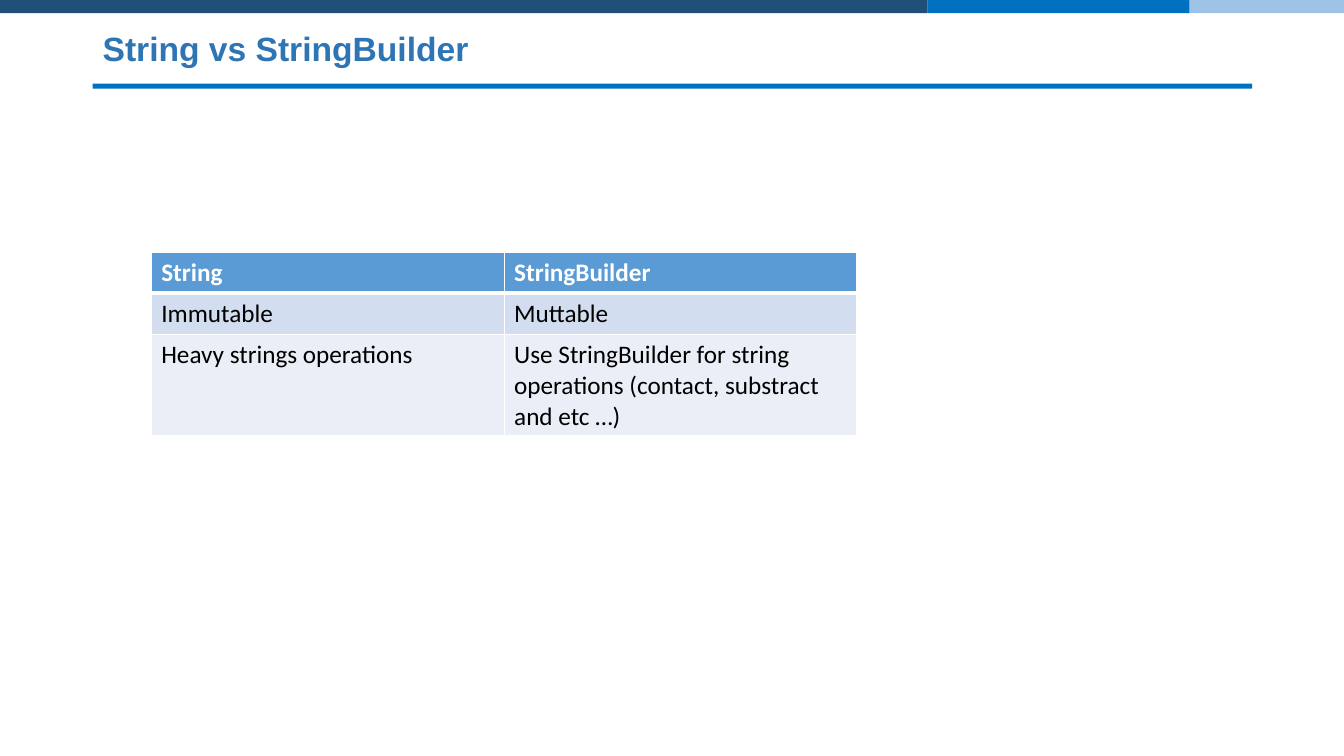
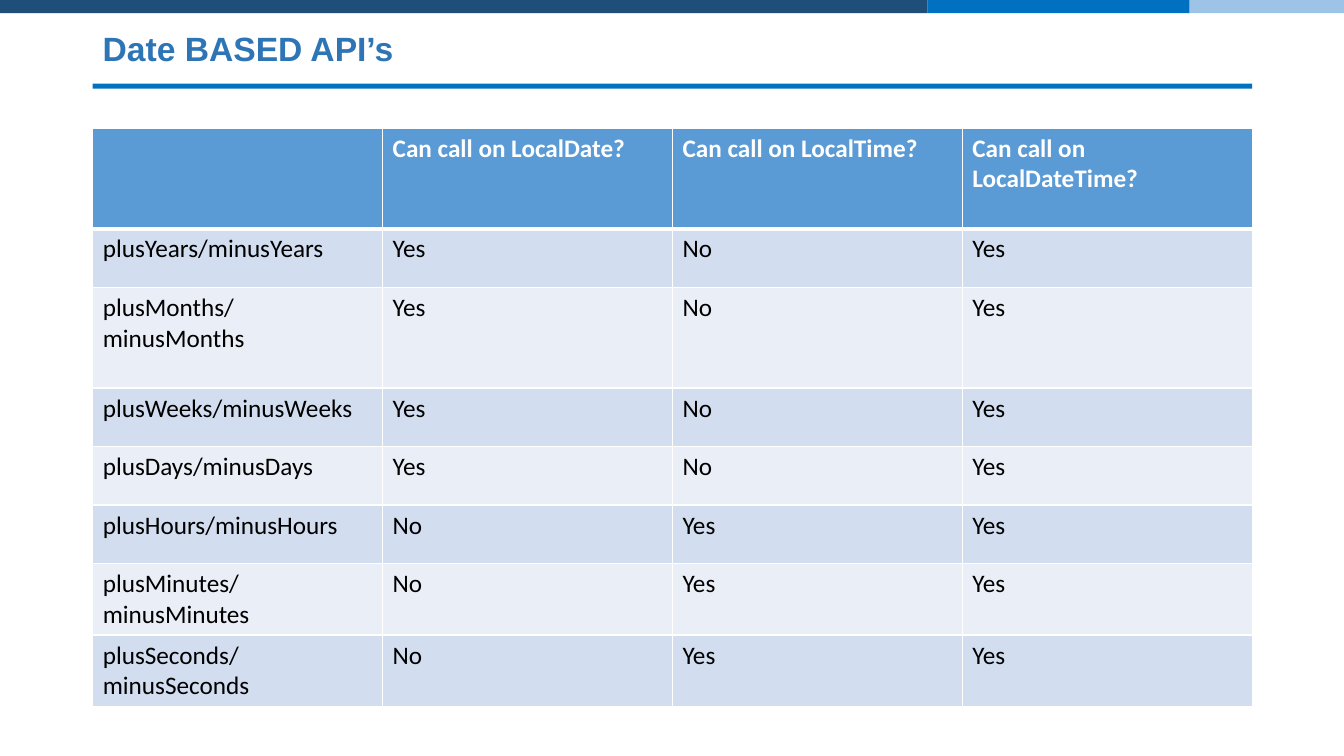
import pptx
import pptx.dml.color
import pptx.enum.shapes
import pptx.enum.text
import pptx.oxml
import pptx.oxml.ns
import pptx.util

Inches = pptx.util.Inches
Pt = pptx.util.Pt
RGBColor = pptx.dml.color.RGBColor

NAVY = RGBColor(0x1F, 0x4E, 0x79)
BLUE = RGBColor(0x00, 0x70, 0xC0)
PALE_BLUE = RGBColor(0x9D, 0xC3, 0xE6)
TITLE_BLUE = RGBColor(0x2E, 0x75, 0xB6)
HEADER_BLUE = RGBColor(0x5B, 0x9B, 0xD5)
ROW_DARK = RGBColor(0xD2, 0xDE, 0xEF)
ROW_LIGHT = RGBColor(0xEA, 0xEF, 0xF7)
WHITE = RGBColor(0xFF, 0xFF, 0xFF)
BLACK = RGBColor(0x00, 0x00, 0x00)

TITLE_FONT = "Arial"
TABLE_FONT = "Calibri"
MARGIN = 0.92
CONTENT_WIDTH = 11.5
THIN, THICK = 1, 3
TOP_BAND = [(9.2, NAVY), (2.6, BLUE), (1.56, PALE_BLUE)]

STRING_ROWS = [
    ("String", "StringBuilder"),
    ("Immutable", "Muttable"),
    ("Heavy strings operations",
     "Use StringBuilder for string operations (contact, substract and etc …)"),
]
DATE_ROWS = [
    ("", "Can call on LocalDate?", "Can call on LocalTime?", "Can call on LocalDateTime?"),
    ("plusYears/minusYears", "Yes", "No", "Yes"),
    ("plusMonths/minusMonths", "Yes", "No", "Yes"),
    ("plusWeeks/minusWeeks", "Yes", "No", "Yes"),
    ("plusDays/minusDays", "Yes", "No", "Yes"),
    ("plusHours/minusHours", "No", "Yes", "Yes"),
    ("plusMinutes/minusMinutes", "No", "Yes", "Yes"),
    ("plusSeconds/minusSeconds", "No", "Yes", "Yes"),
]


def add_bar(slide, left, top, width, height, color):
    bar = slide.shapes.add_shape(
        pptx.enum.shapes.MSO_SHAPE.RECTANGLE,
        Inches(left), Inches(top), Inches(width), Inches(height))
    bar.shadow.inherit = False
    bar.fill.solid()
    bar.fill.fore_color.rgb = color
    bar.line.fill.background()


def add_top_band(slide, left, top, height):
    for width, color in TOP_BAND:
        add_bar(slide, left, top, width, height, color)
        left += width


def add_title(slide, left, top, width, height, text):
    title = slide.shapes.add_textbox(
        Inches(left), Inches(top), Inches(width), Inches(height))
    frame = title.text_frame
    frame.word_wrap = True
    frame.vertical_anchor = pptx.enum.text.MSO_ANCHOR.MIDDLE
    paragraph = frame.paragraphs[0]
    paragraph.line_spacing = 0.9
    run = paragraph.add_run()
    run.text = text
    run.font.name = TITLE_FONT
    run.font.size = Pt(24)
    run.font.bold = True
    run.font.color.rgb = TITLE_BLUE
    add_bar(slide, left, top + 0.59, width, 0.05, BLUE)


def set_borders(cell, top, bottom):
    properties = cell._tc.get_or_add_tcPr()
    for side, points in (("L", THIN), ("R", THIN), ("T", top), ("B", bottom)):
        properties.append(pptx.oxml.parse_xml(
            f'<a:ln{side} {pptx.oxml.ns.nsdecls("a")} w="{Pt(points)}">'
            f'<a:solidFill><a:srgbClr val="{WHITE}"/></a:solidFill></a:ln{side}>'))


def fill_cell(cell, text, row):
    is_header = row == 0
    set_borders(cell, THICK if row == 1 else THIN, THICK if is_header else THIN)
    cell.fill.solid()
    cell.fill.fore_color.rgb = (
        HEADER_BLUE if is_header else ROW_DARK if row % 2 else ROW_LIGHT)
    paragraph = cell.text_frame.paragraphs[0]
    paragraph.font.size = Pt(18)
    if text:
        run = paragraph.add_run()
        run.text = text
        run.font.name = TABLE_FONT
        run.font.size = Pt(18)
        run.font.bold = is_header
        run.font.color.rgb = WHITE if is_header else BLACK


def add_comparison(slide, left, top, width, heights, rows):
    columns = len(rows[0])
    table = slide.shapes.add_table(
        len(rows), columns, Inches(left), Inches(top),
        Inches(width), Inches(sum(heights))).table
    for column in table.columns:
        column.width = Inches(width / columns)
    for row, (height, texts) in enumerate(zip(heights, rows)):
        table.rows[row].height = Inches(height)
        for column, text in enumerate(texts):
            fill_cell(table.cell(row, column), text, row)


def add_comparison_slide(deck, title, left, top, width, heights, rows):
    slide = deck.slides.add_slide(deck.slide_layouts[6])
    add_top_band(slide, 0, -0.01, 0.14)
    add_title(slide, MARGIN, 0.24, CONTENT_WIDTH, 0.52, title)
    add_comparison(slide, left, top, width, heights, rows)


def main():
    deck = pptx.Presentation()
    deck.slide_width = Inches(13.33)
    deck.slide_height = Inches(7.5)
    add_comparison_slide(deck, "String vs StringBuilder", 1.5, 2.5, 7,
                         [0.41, 0.41, 1], STRING_ROWS)
    add_comparison_slide(deck, "Date BASED API’s", MARGIN, 1.27, CONTENT_WIDTH,
                         [1, 0.58, 1] + [0.58] * 3 + [0.71] * 2, DATE_ROWS)
    deck.save("out.pptx")


if __name__ == "__main__":
    main()
